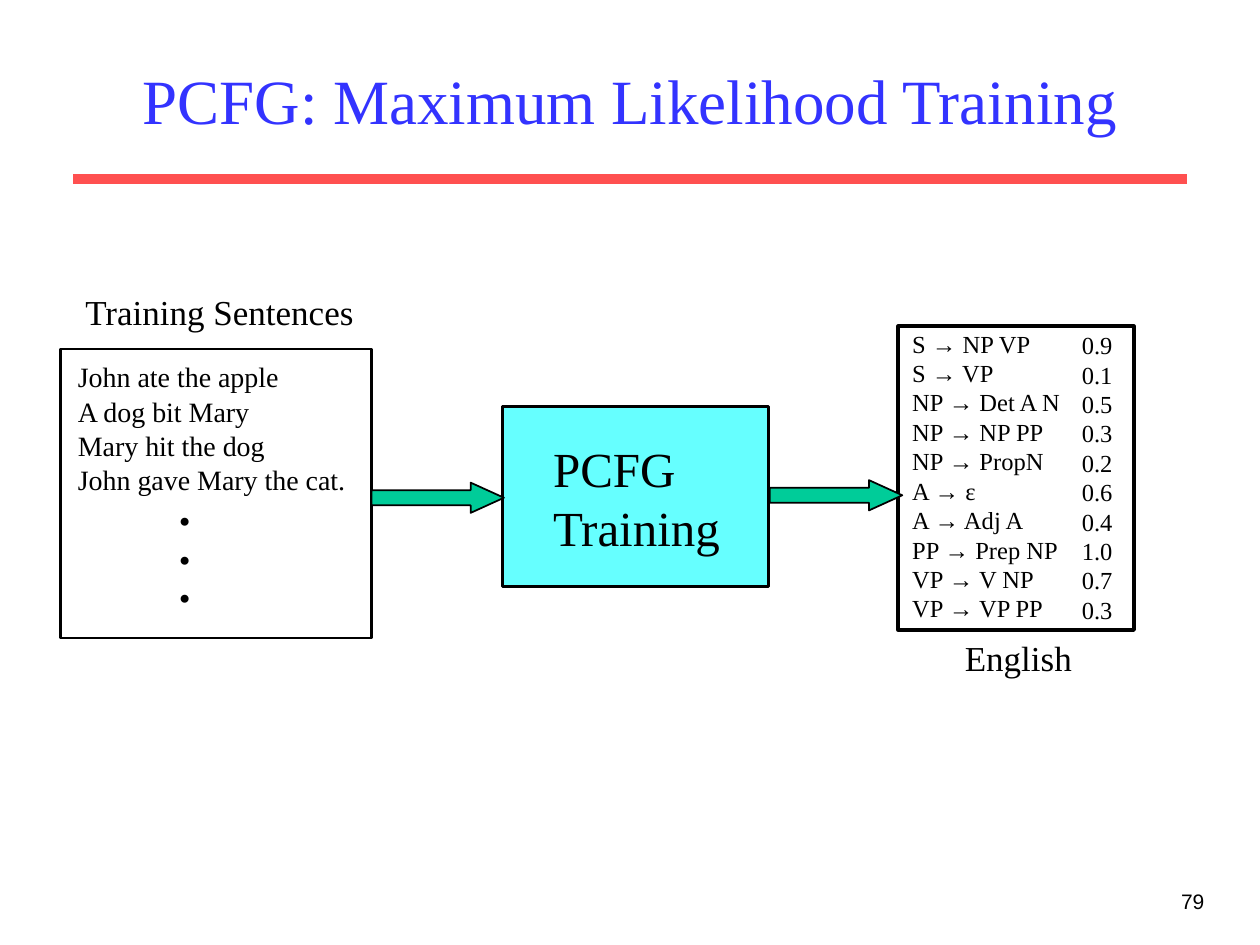
import pptx
import pptx.dml.color
import pptx.enum.shapes
import pptx.enum.text
import pptx.util
from dataclasses import dataclass
from lxml import etree

Cm = pptx.util.Cm
Pt = pptx.util.Pt
Align = pptx.enum.text.PP_ALIGN
Anchor = pptx.enum.text.MSO_ANCHOR
Shape = pptx.enum.shapes.MSO_SHAPE


@dataclass(frozen=True)
class Theme:
    serif: str = "Times New Roman"
    sans: str = "Arial"
    black: str = "000000"
    title_blue: str = "3333FF"
    rule_red: str = "FF5050"
    process_cyan: str = "66FFFF"
    arrow_green: str = "00CC99"
    title_size: int = 36
    process_size: int = 28
    label_size: int = 20
    sentence_size: int = 16
    grammar_size: int = 14
    number_size: int = 12


THEME = Theme()

SENTENCES = [
    "John ate the apple",
    "A dog bit Mary",
    "Mary hit the dog",
    "John gave Mary the cat.",
]
GRAMMAR = [
    ("S → NP VP", "0.9"),
    ("S → VP", "0.1"),
    ("NP → Det A N", "0.5"),
    ("NP → NP PP", "0.3"),
    ("NP → PropN", "0.2"),
    ("A → ε", "0.6"),
    ("A → Adj A", "0.4"),
    ("PP → Prep NP", "1.0"),
    ("VP → V NP", "0.7"),
    ("VP → VP PP", "0.3"),
]


def rgb(value):
    return pptx.dml.color.RGBColor.from_string(value)


def place(shape, left, top, width, height):
    shape.left, shape.top = Cm(left), Cm(top)
    shape.width, shape.height = Cm(width), Cm(height)


def format_text(text_frame, size, font=THEME.serif, color=THEME.black,
                align=Align.LEFT, bold=False, line_spacing=None, gap=0):
    for index, paragraph in enumerate(text_frame.paragraphs):
        paragraph.alignment = align
        paragraph.space_before = Pt(gap if index else 0)
        if line_spacing:
            paragraph.line_spacing = line_spacing
        for run in paragraph.runs:
            run.font.size = Pt(size)
            run.font.name = font
            run.font.bold = bold
            run.font.color.rgb = rgb(color)


def add_title(slide, text):
    title = slide.shapes.title
    place(title, 1.91, 0.64, 21.59, 2.74)
    title.text_frame.text = text
    title.text_frame.vertical_anchor = Anchor.MIDDLE
    format_text(title.text_frame, THEME.title_size, color=THEME.title_blue,
                align=Align.CENTER)


def add_rule(slide, left, right, top):
    rule = slide.shapes.add_connector(
        pptx.enum.shapes.MSO_CONNECTOR.STRAIGHT,
        Cm(left), Cm(top), Cm(right), Cm(top))
    rule.line.color.rgb = rgb(THEME.rule_red)
    rule.line.width = Pt(6)
    etree.SubElement(rule._element.spPr, pptx.oxml.ns.qn("a:effectLst"))


def add_text(slide, lines, left, top, width, height, size, wrap=False, **style):
    box = slide.shapes.add_textbox(Cm(left), Cm(top), Cm(width), Cm(height))
    box.text_frame.word_wrap = wrap
    box.text_frame.text = "\n".join(lines)
    format_text(box.text_frame, size, **style)


def add_block(slide, left, top, width, height, fill=None, line_width=1.5,
              kind=Shape.RECTANGLE):
    block = slide.shapes.add_shape(kind, Cm(left), Cm(top), Cm(width), Cm(height))
    block.shadow.inherit = False
    if fill:
        block.fill.solid()
        block.fill.fore_color.rgb = rgb(fill)
    else:
        block.fill.background()
    block.line.color.rgb = rgb(THEME.black)
    block.line.width = Pt(line_width)
    return block


def add_arrow(slide, left, top):
    arrow = add_block(slide, left, top, 2.67, 0.61, THEME.arrow_green, 1,
                      Shape.RIGHT_ARROW)
    arrow.adjustments[0] = 0.5
    arrow.adjustments[1] = 1.1


def add_training_data(slide):
    add_text(slide, SENTENCES, 1.32, 7.42, 5.97, 4.06, THEME.sentence_size,
             wrap=True, line_spacing=0.5, gap=10)
    add_text(slide, ["."] * 3, 3.35, 9.86, 0.74, 2.57, THEME.process_size,
             bold=True, line_spacing=0.65)
    add_block(slide, 1.22, 7.04, 6.27, 5.82)
    add_text(slide, ["Training Sentences"], 1.47, 5.74, 5.94, 1.12,
             THEME.label_size)


def add_process(slide):
    add_block(slide, 10.13, 8.2, 5.36, 3.63, THEME.process_cyan)
    add_text(slide, ["PCFG", "Training"], 10.9, 8.71, 3.89, 2.64,
             THEME.process_size)


def add_grammar(slide):
    rules, probabilities = zip(*GRAMMAR)
    add_text(slide, rules, 18.14, 6.5, 3.56, 6.2, THEME.grammar_size)
    add_text(slide, probabilities, 21.56, 6.53, 1.12, 6.2, THEME.grammar_size)
    add_block(slide, 18.11, 6.58, 4.75, 6.12, line_width=2.25)
    add_text(slide, ["English"], 19.2, 12.7, 2.67, 1.12, THEME.label_size)


def main():
    presentation = pptx.Presentation()
    presentation.slide_width, presentation.slide_height = Cm(25.4), Cm(19.05)
    slide = presentation.slides.add_slide(presentation.slide_layouts[5])
    add_rule(slide, 1.48, 23.92, 3.61)
    add_title(slide, "PCFG: Maximum Likelihood Training")
    add_training_data(slide)
    add_process(slide)
    add_arrow(slide, 7.49, 9.73)
    add_grammar(slide)
    add_arrow(slide, 15.52, 9.68)
    add_text(slide, ["79"], 19.25, 17.78, 5.28, 1.27, THEME.number_size,
             wrap=True, font=THEME.sans, align=Align.RIGHT)
    presentation.save("out.pptx")


if __name__ == "__main__":
    main()
